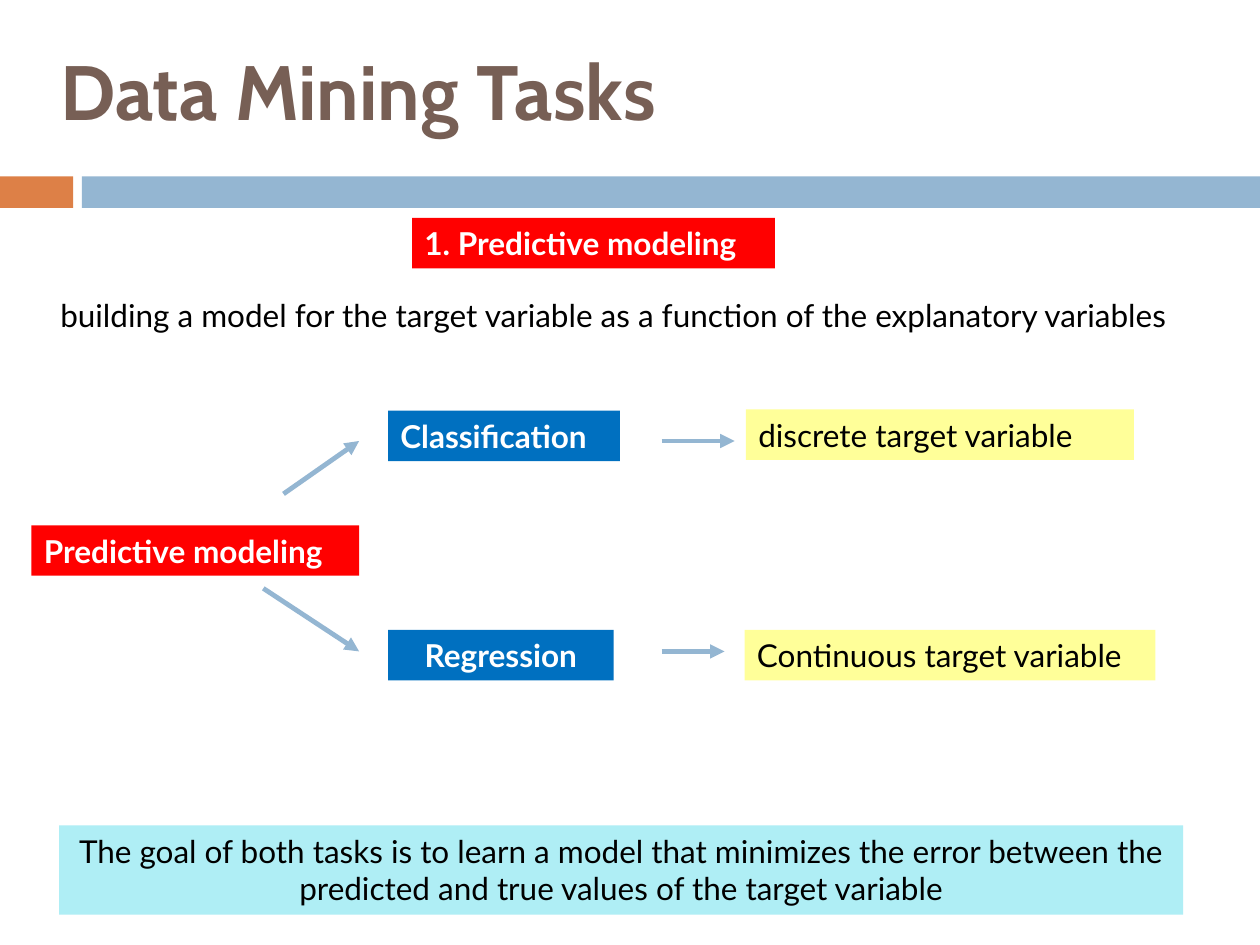
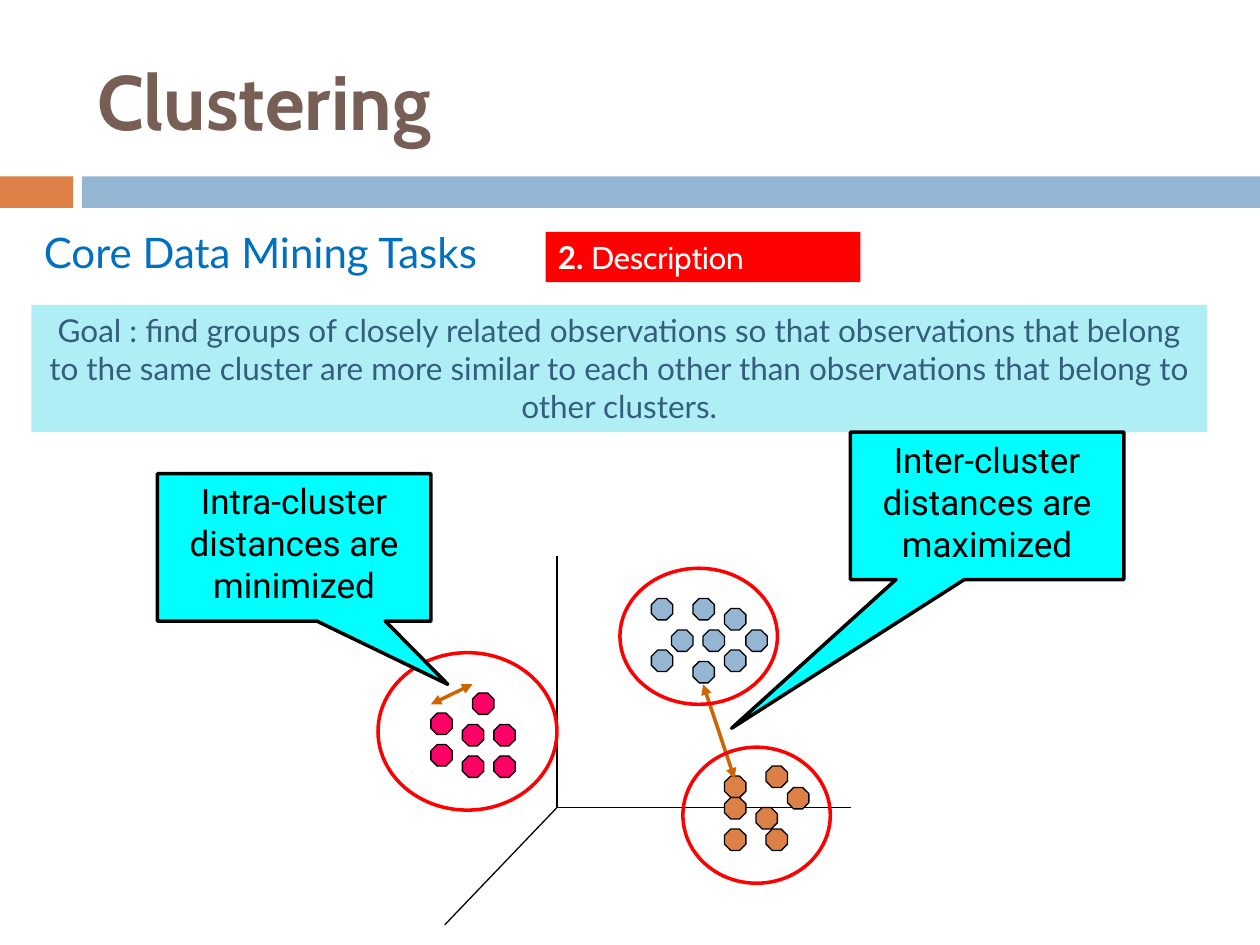
"""Builds two slides on data mining tasks: predictive modeling and clustering."""
from dataclasses import dataclass
from typing import Optional

from lxml.etree import SubElement
from pptx import Presentation
from pptx.dml.color import RGBColor
from pptx.enum.shapes import MSO_CONNECTOR, MSO_SHAPE
from pptx.enum.text import MSO_ANCHOR, MSO_AUTO_SIZE, PP_ALIGN
from pptx.oxml.ns import qn
from pptx.util import Inches, Pt

BROWN, ORANGE, STEEL = "775F55", "DD8047", "94B6D2"
RED, BLUE, YELLOW, PALE_CYAN = "FF0000", "0070C0", "FFFF99", "AFEEF5"
BLACK, WHITE, NAVY = "000000", "FFFFFF", "355D7E"
CYAN, PINK, OCHRE = "00FFFF", "FF0066", "CC6600"
HEADING_FONT, BODY_FONT, CALLOUT_FONT = "Cabin", "Lato", "Roboto"
DOT_SIZE = 0.17


@dataclass
class Box:
    left: float
    top: float
    width: float
    height: float


@dataclass
class Label:
    text: str
    box: Box
    fill: Optional[str] = None
    color: str = BLACK
    size: float = 18
    bold: bool = False
    centered: bool = False


@dataclass
class Line:
    start: tuple[float, float]
    end: tuple[float, float]
    color: str = BLACK
    width: float = 0.75
    head: bool = False
    tail: bool = False


@dataclass
class Callout:
    text: str
    box: Box
    pointer: tuple[float, float]


@dataclass
class Cluster:
    outline: Box
    color: str
    dots: list[tuple[float, float]]


def rgb(color: str) -> RGBColor:
    """Turn a hex string into a colour."""
    return RGBColor.from_string(color)


def lengths(box: Box) -> tuple:
    """Return the box as lengths for a shape."""
    return tuple(Inches(n) for n in (box.left, box.top, box.width, box.height))


def draw_shape(slide, kind, box: Box, fill: Optional[str] = None,
               outline: Optional[str] = None, width: float = 0.75):
    """Draw a flat preset shape."""
    shape = slide.shapes.add_shape(kind, *lengths(box))
    shape.shadow.inherit = False
    if fill:
        shape.fill.solid()
        shape.fill.fore_color.rgb = rgb(fill)
    else:
        shape.fill.background()
    if outline:
        shape.line.color.rgb = rgb(outline)
        shape.line.width = Pt(width)
    else:
        shape.line.fill.background()
    return shape


def style_font(font, name: str, size: float, color: str, bold: bool = False) -> None:
    """Set face, size, colour and weight."""
    font.name, font.size, font.bold = name, Pt(size), bold
    font.color.rgb = rgb(color)


def write(shape, text: str, font_name: str, size: float, color: str,
          bold: bool = False, centered: bool = False, anchor=MSO_ANCHOR.TOP):
    """Fill a shape with one formatted paragraph and return it."""
    frame = shape.text_frame
    frame.word_wrap = True
    frame.auto_size = MSO_AUTO_SIZE.NONE
    frame.vertical_anchor = anchor
    paragraph = frame.paragraphs[0]
    paragraph.text = text
    paragraph.alignment = PP_ALIGN.CENTER if centered else PP_ALIGN.LEFT
    style_font(paragraph.font, font_name, size, color, bold)
    return paragraph


def draw_label(slide, label: Label):
    """Draw a text box, or a filled rectangle with text."""
    if label.fill:
        shape = draw_shape(slide, MSO_SHAPE.RECTANGLE, label.box, label.fill)
    else:
        shape = slide.shapes.add_textbox(*lengths(label.box))
    return write(shape, label.text, BODY_FONT, label.size, label.color,
                 label.bold, label.centered)


def draw_line(slide, line: Line) -> None:
    """Draw a straight line with optional arrowheads."""
    connector = slide.shapes.add_connector(
        MSO_CONNECTOR.STRAIGHT, *(Inches(n) for n in line.start + line.end))
    connector.line.color.rgb = rgb(line.color)
    connector.line.width = Pt(line.width)
    properties = connector._element.spPr
    outline = properties.find(qn("a:ln"))
    for wanted, tag in ((line.head, "a:headEnd"), (line.tail, "a:tailEnd")):
        if wanted:
            SubElement(outline, qn(tag), type="triangle")
    SubElement(properties, qn("a:effectLst"))


def draw_callout(slide, callout: Callout) -> None:
    """Draw a speech box with its pointer."""
    shape = draw_shape(slide, MSO_SHAPE.RECTANGULAR_CALLOUT, callout.box, CYAN, BLACK, 2)
    shape.adjustments[0], shape.adjustments[1] = callout.pointer
    write(shape, callout.text, CALLOUT_FONT, 20, BLACK, centered=True)


def draw_dots(slide, cluster: Cluster) -> None:
    """Draw the observations of a cluster."""
    for left, top in cluster.dots:
        draw_shape(slide, MSO_SHAPE.OCTAGON, Box(left, top, DOT_SIZE, DOT_SIZE),
                   cluster.color, BLACK)


def add_titled_slide(presentation, layout, title: str, box: Box):
    """Add a slide and place its title."""
    slide = presentation.slides.add_slide(layout)
    heading = slide.shapes.title
    heading.left, heading.top, heading.width, heading.height = lengths(box)
    write(heading, title, HEADING_FONT, 44, BROWN, bold=True, anchor=MSO_ANCHOR.MIDDLE)
    return slide


def move_bands_to_layout(slide, layout) -> None:
    """Give the layout the two bands that all slides share."""
    bands = ((Box(0, 1.4, 0.58, 0.25), ORANGE), (Box(0.65, 1.4, 9.35, 0.25), STEEL))
    for box, color in bands:
        band = draw_shape(slide, MSO_SHAPE.RECTANGLE, box, color)
        layout.shapes._spTree.append(band._element)


def build_predictive_modeling(slide) -> None:
    """Draw the tree of predictive modeling tasks."""
    labels = [
        Label("Predictive modeling", Box(0.25, 4.17, 2.6, 0.4), RED, WHITE, bold=True),
        Label("Classification", Box(3.08, 3.26, 1.84, 0.4), BLUE, WHITE, bold=True),
        Label("Regression", Box(3.08, 5, 1.79, 0.4), BLUE, WHITE, bold=True, centered=True),
        Label("discrete target variable", Box(5.92, 3.25, 3.08, 0.4), YELLOW),
        Label("Continuous target variable", Box(5.91, 5, 3.26, 0.4), YELLOW),
        Label("The goal of both tasks is to learn a model that minimizes the error between "
              "the predicted and true values of the target variable",
              Box(0.47, 6.55, 8.92, 0.71), PALE_CYAN, centered=True),
        Label("1. Predictive modeling", Box(3.27, 1.73, 2.88, 0.4), RED, WHITE, bold=True),
        Label("building a model for the target variable as a function of the explanatory "
              "variables", Box(0.38, 2.3, 9.08, 0.4)),
    ]
    arrows = [((2.25, 3.92), (2.85, 3.5)), ((2.09, 4.67), (2.85, 5.17)),
              ((5.25, 3.5), (5.83, 3.5)), ((5.25, 5.17), (5.75, 5.17))]
    for label in labels:
        draw_label(slide, label)
    for start, end in arrows:
        draw_line(slide, Line(start, end, STEEL, 2.75, tail=True))


def build_clustering(slide) -> None:
    """Draw the clustering goal and the three clusters."""
    draw_label(slide, Label("Core Data Mining Tasks", Box(0.25, 1.75, 3.77, 0.5),
                            color=BLUE, size=24))
    method = draw_label(slide, Label("2. ", Box(4.33, 1.84, 2.5, 0.4), RED, WHITE, bold=True))
    method_name = method.add_run()
    method_name.text = "Description"
    style_font(method_name.font, HEADING_FONT, 18, WHITE)
    draw_label(slide, Label(
        "Goal : find groups of closely related observations so that observations that belong "
        "to the same cluster are more similar to each other than observations that belong to "
        "other clusters.", Box(0.25, 2.42, 9.33, 1.01), PALE_CYAN, NAVY, centered=True))

    origin = (4.42, 6.41)
    for axis_end in ((4.42, 4.41), (6.75, 6.41), (3.53, 7.34)):
        draw_line(slide, Line(origin, axis_end))

    clusters = [
        Cluster(Box(3, 5.18, 1.42, 1.25), PINK,
                [(3.42, 5.66), (3.67, 5.75), (3.67, 6), (3.92, 5.75), (3.75, 5.5),
                 (3.92, 6), (3.42, 5.91)]),
        Cluster(Box(4.92, 4.51, 1.25, 1.08), STEEL,
                [(5.33, 5), (5.58, 5), (5.5, 4.75), (5.5, 5.25), (5.92, 5),
                 (5.75, 4.83), (5.17, 4.75), (5.75, 5.16), (5.17, 5.16)]),
        Cluster(Box(5.42, 5.93, 1.17, 1.08), ORANGE,
                [(5.75, 6.16), (6.25, 6.25), (6, 6.41), (5.75, 6.58), (6.08, 6.58),
                 (5.75, 6.33), (6.08, 6.08)]),
    ]
    for cluster in clusters:
        draw_dots(slide, cluster)
    draw_line(slide, Line((5.83, 6.18), (5.58, 5.43), OCHRE, 2, head=True, tail=True))
    draw_callout(slide, Callout("Inter-cluster distances are maximized",
                                Box(6.75, 3.43, 2.17, 1.17), (-0.935, 1.509)))
    for cluster in clusters:
        draw_shape(slide, MSO_SHAPE.OVAL, cluster.outline, outline=RED, width=2)
    draw_line(slide, Line((3.42, 5.59), (3.75, 5.43), OCHRE, 2, head=True, tail=True))
    draw_callout(slide, Callout("Intra-cluster distances are minimized",
                                Box(1.25, 3.76, 2.17, 1.17), (0.562, 0.929)))


def main() -> None:
    """Build and save the presentation."""
    presentation = Presentation()
    presentation.slide_width, presentation.slide_height = Inches(10), Inches(7.5)
    layout = presentation.slide_layouts.get_by_name("Title Only")
    predictive = add_titled_slide(presentation, layout, "Data Mining Tasks",
                                  Box(0.38, 0.17, 8.92, 1.08))
    move_bands_to_layout(predictive, layout)
    build_predictive_modeling(predictive)
    clustering = add_titled_slide(presentation, layout, "Clustering",
                                  Box(0.67, 0.25, 8.92, 1.08))
    build_clustering(clustering)
    presentation.save("out.pptx")


if __name__ == "__main__":
    main()
